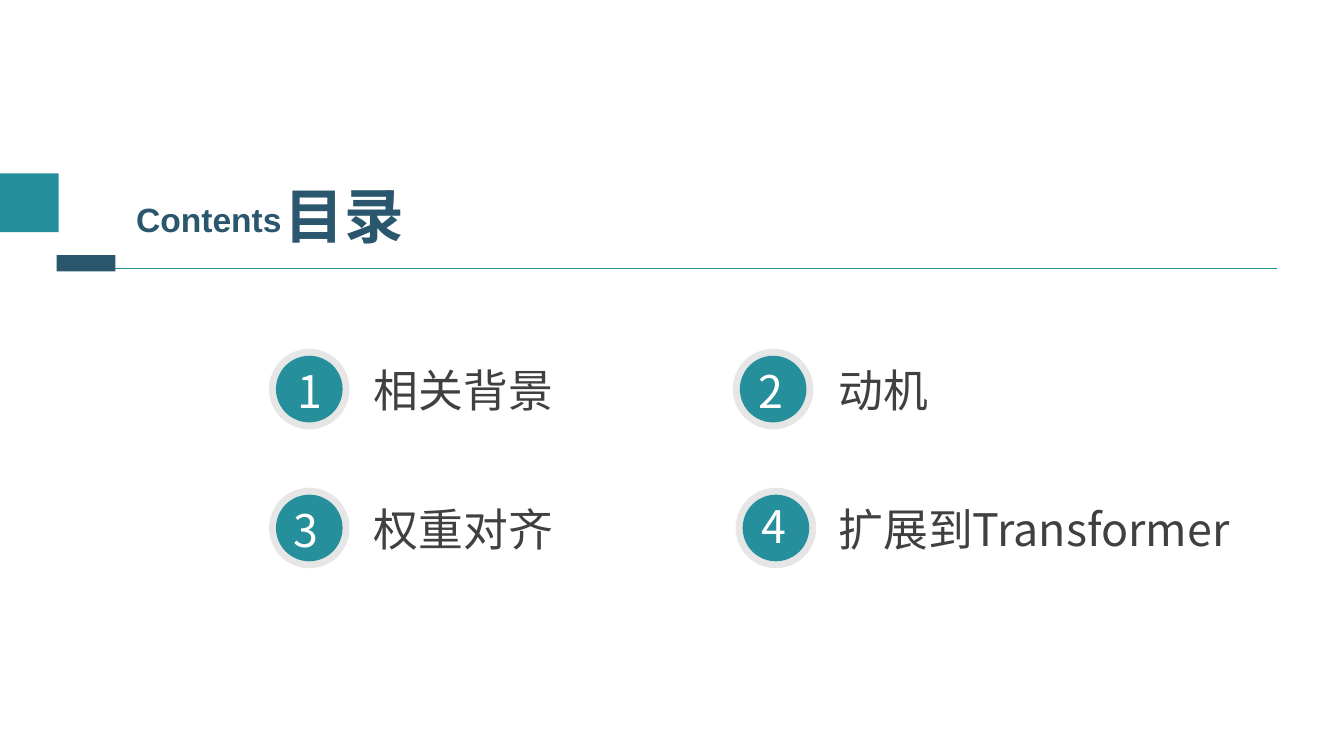
from dataclasses import dataclass

import pptx
import pptx.dml.color
import pptx.enum.shapes
import pptx.enum.text
import pptx.oxml
import pptx.oxml.ns
import pptx.shapes.autoshape
import pptx.util

Cm = pptx.util.Cm
Shape = pptx.enum.shapes.MSO_SHAPE

TEAL, NAVY, GREY, INK, WHITE = "268F9C", "2A566E", "E7E6E6", "404040", "FFFFFF"
CHINESE_FONT = "Noto Sans CJK SC"
RING, DISC = 2.03, 1.68
DIGIT_WIDTH, LINE_HEIGHT = 1.22, 1.63
ROW_TOPS = (8.79, 12.29)
LABEL_LEFTS = (9.17, 20.88)


@dataclass
class Topic:
    label: str
    label_width: float
    ring_left: float
    digit_shift: float  # from the ring's left edge
    digit_drop: float = 0.25  # from the ring's top edge


TOPICS = [
    Topic("相关背景", 8.92, 6.78, 0.48),
    Topic("动机", 8.13, 18.47, 0.4),
    Topic("权重对齐", 5.84, 6.78, 0.38),
    Topic("扩展到Transformer", 11.66, 18.54, 0.41, 0.16),
]


def color(value: str) -> pptx.dml.color.RGBColor:
    return pptx.dml.color.RGBColor.from_string(value)


def add_block(shapes, kind: Shape, left: float, top: float, width: float,
              height: float, fill: str) -> pptx.shapes.autoshape.Shape:
    block = shapes.add_shape(kind, Cm(left), Cm(top), Cm(width), Cm(height))
    block.shadow.inherit = False
    block.fill.solid()
    block.fill.fore_color.rgb = color(fill)
    block.line.fill.background()
    return block


def add_text(shapes, text: str, left: float, top: float, width: float,
             height: float = LINE_HEIGHT, *, size: float = 32, tint: str = INK,
             font: str = CHINESE_FONT, bold: bool = False) -> None:
    box = shapes.add_textbox(Cm(left), Cm(top), Cm(width), Cm(height))
    frame = box.text_frame
    frame.word_wrap = True
    frame.auto_size = pptx.enum.text.MSO_AUTO_SIZE.SHAPE_TO_FIT_TEXT
    span = frame.paragraphs[0].add_run()
    span.text = text
    span.font.size = pptx.util.Pt(size)
    span.font.bold = bold
    span.font.color.rgb = color(tint)
    span.font.name = font
    # East Asian glyphs take their typeface from a separate element
    east_asian = pptx.oxml.parse_xml(
        f'<a:ea {pptx.oxml.ns.nsdecls("a")} typeface="{font}"/>')
    span.font._element.append(east_asian)


def add_rule(page, left: float, right: float, top: float) -> None:
    rule = page.shapes.add_connector(
        pptx.enum.shapes.MSO_CONNECTOR.STRAIGHT,
        Cm(left), Cm(top), Cm(right), Cm(top))
    rule.line.color.rgb = color(TEAL)
    rule.line.width = pptx.util.Pt(0.75)
    rule._element.spPr.append(
        pptx.oxml.parse_xml(f'<a:effectLst {pptx.oxml.ns.nsdecls("a")}/>'))


def add_topic(page, index: int, topic: Topic) -> None:
    row, column = divmod(index, len(LABEL_LEFTS))
    top = ROW_TOPS[row]
    inset = (RING - DISC) / 2
    badge = page.shapes.add_group_shape().shapes
    add_block(badge, Shape.OVAL, topic.ring_left, top, RING, RING, GREY)
    add_block(badge, Shape.OVAL, topic.ring_left + inset, top + inset,
              DISC, DISC, TEAL)
    add_text(badge, str(index + 1), topic.ring_left + topic.digit_shift,
             top + topic.digit_drop, DIGIT_WIDTH, tint=WHITE)
    add_text(page.shapes, topic.label, LABEL_LEFTS[column], top + 0.22,
             topic.label_width)


def main() -> None:
    deck = pptx.Presentation()
    deck.slide_width, deck.slide_height = Cm(33.87), Cm(19.05)
    page = deck.slides.add_slide(deck.slide_layouts[6])

    # Heading
    add_rule(page, 1.5, 32.18, 6.76)
    add_text(page.shapes, "目录", 6.93, 4.39, 4.34, 2.08,
             size=42.6, tint=NAVY, bold=True)
    add_text(page.shapes, "Contents", 3.18, 4.9, 5.23, 1.27,
             size=24, tint=NAVY, font="Arial", bold=True)
    add_block(page.shapes, Shape.RECTANGLE, 0, 4.37, 1.48, 1.48, TEAL)
    add_block(page.shapes, Shape.RECTANGLE, 1.43, 6.43, 1.48, 0.41, NAVY)

    # Numbered topics, two to a row
    for index, topic in enumerate(TOPICS):
        add_topic(page, index, topic)

    deck.save("out.pptx")


if __name__ == "__main__":
    main()
